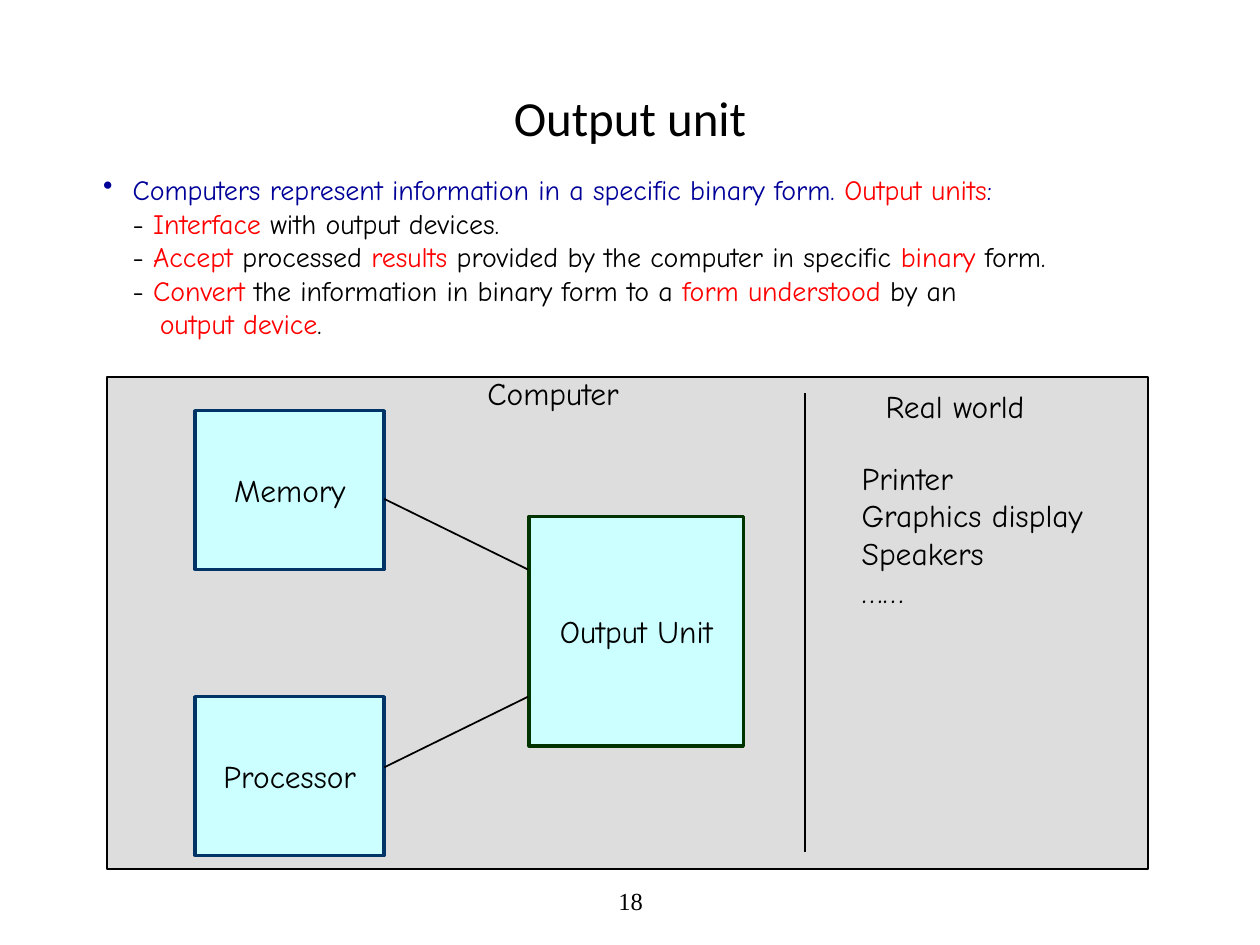
from lxml import etree
from pptx import Presentation, util as u
from pptx.dml.color import RGBColor
from pptx.enum import shapes, text
from pptx.oxml.ns import qn

BLACK = RGBColor(0x00, 0x00, 0x00)
RED = RGBColor(0xFF, 0x00, 0x00)
BLUE = RGBColor(0x00, 0x00, 0x99)
NAVY = RGBColor(0x00, 0x33, 0x66)
GREEN = RGBColor(0x00, 0x33, 0x00)
GREY = RGBColor(0xDD, 0xDD, 0xDD)
CYAN = RGBColor(0xCC, 0xFF, 0xFF)

COLUMNS, ROWS = 100, 75


class Board:
    """Draws styled elements on one slide, placed on a grid of columns and rows."""

    font = "Comic Neue"
    size = 18

    def __init__(self, deck):
        self.column = deck.slide_width / COLUMNS
        self.row = deck.slide_height / ROWS
        self.shapes = deck.slides.add_slide(deck.slide_layouts[6]).shapes

    def place(self, *cells):
        units = (self.column, self.row) * 2
        return [u.Emu(round(cell * unit)) for cell, unit in zip(cells, units)]

    def fill_text(self, frame, lines, size=None, font=None, centred=False, middle=False):
        frame.word_wrap = True
        frame.vertical_anchor = text.MSO_ANCHOR.MIDDLE if middle else text.MSO_ANCHOR.TOP
        for index, line in enumerate(lines):
            paragraph = frame.paragraphs[0] if index == 0 else frame.add_paragraph()
            paragraph.text = line
            paragraph.alignment = text.PP_ALIGN.CENTER if centred else text.PP_ALIGN.LEFT
            paragraph.font.size = u.Pt(size or self.size)
            paragraph.font.name = font or self.font
            paragraph.font.color.rgb = BLACK

    def label(self, cells, *lines, **style):
        self.fill_text(self.shapes.add_textbox(*self.place(*cells)).text_frame, lines, **style)

    def points(self, cells, items, size):
        frame = self.shapes.add_textbox(*self.place(*cells)).text_frame
        frame.word_wrap = True
        for index, (line, colour, margin, bullet) in enumerate(items):
            paragraph = frame.paragraphs[0] if index == 0 else frame.add_paragraph()
            properties = paragraph._p.get_or_add_pPr()
            indent = round(margin * self.column)
            properties.set("marL", str(indent))
            if bullet:
                properties.set("indent", str(-indent))
                etree.SubElement(properties, qn("a:buChar")).set("char", bullet)
            paragraph.font.size = u.Pt(size)
            paragraph.font.name = self.font
            for part, words in enumerate(line.split("*")):
                if words:
                    run = paragraph.add_run()
                    run.text = words
                    run.font.color.rgb = RED if part % 2 else colour

    def box(self, cells, fill, outline, width, caption=None):
        box = self.shapes.add_shape(shapes.MSO_SHAPE.RECTANGLE, *self.place(*cells))
        box.shadow.inherit = False
        box.fill.solid()
        box.fill.fore_color.rgb = fill
        box.line.color.rgb = outline
        box.line.width = u.Pt(width)
        if caption:
            self.fill_text(box.text_frame, [caption], centred=True, middle=True)

    def line(self, *ends):
        line = self.shapes.add_connector(shapes.MSO_CONNECTOR.STRAIGHT, *self.place(*ends))
        line.line.color.rgb = BLACK
        line.line.width = u.Pt(1)
        etree.SubElement(line._element.spPr, qn("a:effectLst"))


def main():
    deck = Presentation()
    deck.slide_width, deck.slide_height = u.Inches(10), u.Inches(7.5)
    board = Board(deck)

    board.label((34.2, 69.5, 31.7, 4), "18", size=14, font="Times New Roman",
                centred=True, middle=True)
    board.label((5, 3, 90, 12.5), "Output unit", size=28, font="Calibri",
                centred=True, middle=True)
    board.points((7.2, 13.2, 84, 14.4), [
        ("Computers represent information in a specific binary form. *Output units*:",
         BLUE, 2.35, "•"),
        ("- *Interface* with output devices.", BLACK, 2.35, None),
        ("- *Accept* processed *results* provided by the computer in specific *binary* form.",
         BLACK, 2.35, None),
        ("- *Convert* the information in binary form to a *form understood* by an",
         BLACK, 2.35, None),
        ("*output device*.", BLACK, 4.5, None),
    ], size=16)

    board.box((8.5, 29.9, 82.6, 39.1), GREY, BLACK, 1)
    board.box((42, 41, 17, 18.2), CYAN, GREEN, 2, "Output Unit")
    for unit, top, start, end in (("Processor", 55.3, 60.9, 55.3),
                                  ("Memory", 32.6, 39.6, 45.2)):
        board.box((15.5, top, 15, 12.6), CYAN, NAVY, 2, unit)
        board.line(30.5, start, 41.9, end)

    board.label((37.7, 29.2, 13.2, 4), "Computer")
    board.line(63.9, 31.2, 63.9, 67.6)
    board.label((69.3, 30.2, 14, 4), "Real world")
    board.label((67.4, 35.9, 20.9, 13), "Printer", "Graphics display", "Speakers", "……")

    deck.save("out.pptx")


if __name__ == "__main__":
    main()
